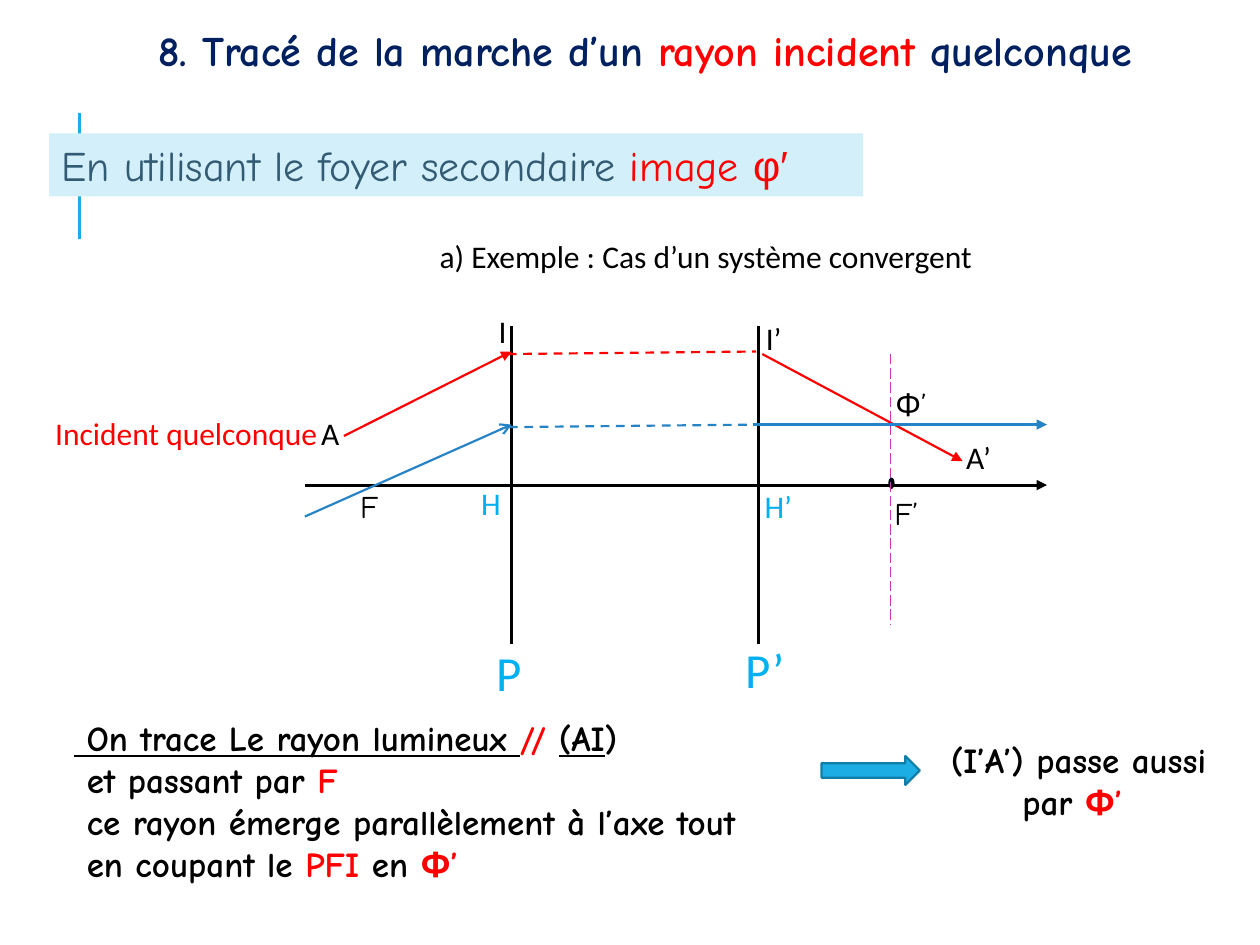
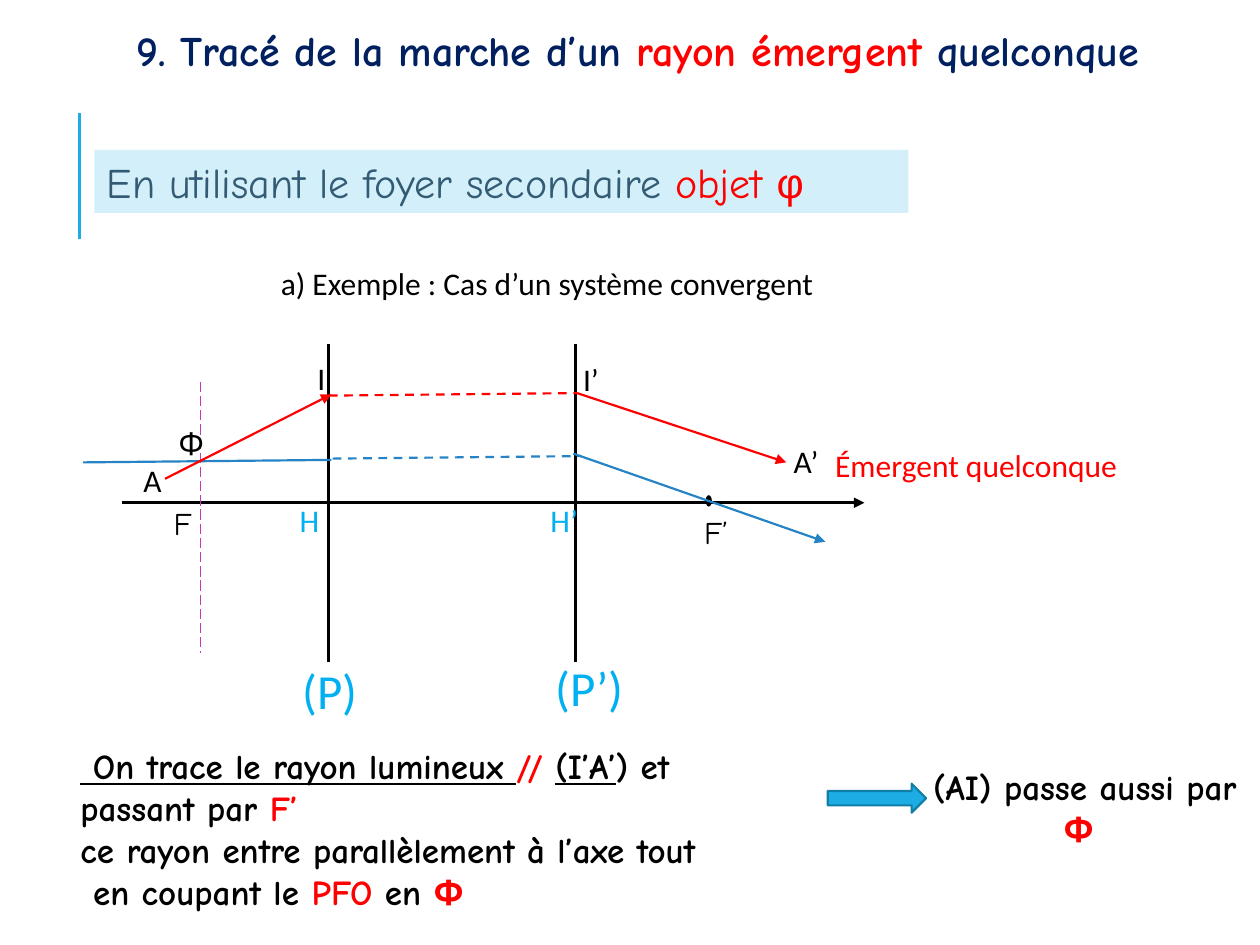
from dataclasses import dataclass
from typing import NamedTuple, Optional

from lxml.etree import SubElement
from pptx import Presentation
from pptx.dml.color import RGBColor
from pptx.enum.dml import MSO_LINE
from pptx.enum.shapes import MSO_CONNECTOR, MSO_SHAPE
from pptx.enum.text import MSO_ANCHOR, MSO_AUTO_SIZE, PP_ALIGN
from pptx.oxml.ns import qn
from pptx.util import Inches, Pt


@dataclass(frozen=True)
class Theme:
    black: str = "000000"
    red: str = "FF0000"
    navy: str = "002060"
    slate: str = "335B74"
    sky: str = "00B0F0"
    blue: str = "2683C6"
    pink: str = "C937B8"
    cyan: str = "1CADE4"
    edge: str = "117EA7"
    band: str = "D2EFFA"
    hand: str = "Comic Neue"
    plain: str = "Calibri"
    greek: str = "Arial"
    head: int = 24
    plane: int = 28
    note: int = 20
    label: int = 18


T = Theme()


class Run(NamedTuple):
    text: str
    color: Optional[str] = None
    under: bool = False
    font: Optional[str] = None


class Line(NamedTuple):
    runs: list
    indent: float = 0


class Label(NamedTuple):
    text: str
    left: float
    top: float
    width: float = 1.34
    font: str = T.plain
    color: str = T.black
    size: int = T.label


class Ray(NamedTuple):
    start: tuple
    end: tuple
    color: str
    width: float = 1.25
    dash: Optional[MSO_LINE] = None
    tip: Optional[str] = None


class Page(NamedTuple):
    title: list
    title_left: float
    band: list
    band_at: tuple
    lens: tuple  # x of plane P, y of the axis
    rays: list
    labels: list
    steps: list
    steps_at: tuple
    result: list
    arrow_at: tuple


def red(text: str, font: Optional[str] = None) -> Run:
    return Run(text, T.red, font=font)


def write(shape, lines: list, *, size: int, font: str = T.plain,
          color: str = T.black, bold: bool = False, align=PP_ALIGN.LEFT,
          wrap: bool = True, grow: bool = True, inset: float = 0.1,
          space: Optional[float] = None) -> None:
    frame = shape.text_frame
    frame.word_wrap = wrap
    frame.auto_size = MSO_AUTO_SIZE.SHAPE_TO_FIT_TEXT if grow else MSO_AUTO_SIZE.NONE
    frame.vertical_anchor = MSO_ANCHOR.TOP
    frame.margin_left = frame.margin_right = Inches(inset)
    frame.margin_top = frame.margin_bottom = Inches(0.05)
    for i, line in enumerate(lines):
        para = frame.add_paragraph() if i else frame.paragraphs[0]
        para.alignment = align
        if space:
            para.line_spacing = space
        if line.indent:
            para._p.get_or_add_pPr().set("marL", str(Inches(line.indent)))
        for item in line.runs:
            part = item if isinstance(item, Run) else Run(item)
            run = para.add_run()
            run.text = part.text
            run.font.name = part.font or font
            run.font.size = Pt(size)
            run.font.bold = bold
            run.font.underline = part.under
            run.font.color.rgb = RGBColor.from_string(part.color or color)


def add_box(slide, left: float, top: float, width: float, height: float):
    return slide.shapes.add_textbox(*map(Inches, (left, top, width, height)))


def add_form(slide, kind, at: tuple, fill: str, edge: Optional[str] = None):
    """Add a flat preset shape, outlined only if an edge colour is given."""
    form = slide.shapes.add_shape(kind, *map(Inches, at))
    form.shadow.inherit = False
    form.fill.solid()
    form.fill.fore_color.rgb = RGBColor.from_string(fill)
    if edge:
        form.line.color.rgb = RGBColor.from_string(edge)
        form.line.width = Pt(1.25)
    else:
        form.line.fill.background()
    return form


def draw_ray(slide, ray: Ray) -> None:
    wire = slide.shapes.add_connector(
        MSO_CONNECTOR.STRAIGHT, *map(Inches, ray.start + ray.end))
    wire.line.color.rgb = RGBColor.from_string(ray.color)
    wire.line.width = Pt(ray.width)
    if ray.dash:
        wire.line.dash_style = ray.dash
    props = wire._element.spPr
    if ray.tip:
        SubElement(props.find(qn("a:ln")), qn("a:tailEnd"), type=ray.tip)
    SubElement(props, qn("a:effectLst"))


def draw_label(slide, label: Label) -> None:
    height = 0.57 if label.size == T.plane else 0.4
    write(add_box(slide, label.left, label.top, label.width, height),
          [Line([label.text])], size=label.size, font=label.font, color=label.color)


def draw_lens(slide, x: float, y: float) -> None:
    """Draw both main planes, the axis and the image focus."""
    for plane in (x, x + 1.96):
        draw_ray(slide, Ray((plane, y - 1.26), (plane, y + 1.26), T.black, 1.75))
    draw_ray(slide, Ray((x - 1.64, y), (x + 4.25, y), T.black, 1.75, tip="triangle"))
    add_form(slide, MSO_SHAPE.OVAL, (x + 2.99, y - 0.06, 0.05, 0.09), T.black)


def build_page(deck, page: Page) -> None:
    slide = deck.slides.add_slide(deck.slide_layouts[5])
    draw_ray(slide, Ray((0.63, 1.9), (0.63, 0.9), T.cyan, 1.5))
    title = slide.shapes.title
    title.left, title.top, title.width, title.height = map(
        Inches, (page.title_left, 0.19, 9.64, 0.88))
    write(title, [Line(page.title)], size=T.head, font=T.hand, color=T.navy,
          bold=True, align=PP_ALIGN.CENTER, grow=False, inset=0.05, space=0.9)
    band = add_form(slide, MSO_SHAPE.RECTANGLE, page.band_at + (6.46, 0.5), T.band)
    write(band, [Line(page.band)], size=T.head, font=T.hand, color=T.slate)

    draw_lens(slide, *page.lens)
    for ray in page.rays:
        draw_ray(slide, ray)
    for label in page.labels:
        draw_label(slide, label)

    write(add_box(slide, *page.steps_at, 1.44), page.steps, size=T.note,
          font=T.hand, bold=True, wrap=False)
    left, top = page.arrow_at
    add_form(slide, MSO_SHAPE.RIGHT_ARROW, (left, top, 0.78, 0.23), T.cyan, T.edge)
    write(add_box(slide, left + 0.68, top - 0.19, 2.72, 0.77), [Line(page.result)],
          size=T.note, font=T.hand, bold=True, align=PP_ALIGN.CENTER)


def name_point(text: str, left: float, top: float) -> Label:
    return Label(text, left, top, 1.02, color=T.sky)


def name_plane(text: str, left: float, top: float) -> Label:
    return Label(text, left, top, 1.02, color=T.sky, size=T.plane)


def name_focus(text: str, left: float, top: float) -> Label:
    return Label(text, left, top, 1.49, T.hand)


CASE = "a) Exemple : Cas d’un système convergent"
MARCH = "Tracé de la marche d’un "
FOCUS = "En utilisant le foyer secondaire "

PAGES = [
    Page(
        title=["8. " + MARCH, red("rayon incident "), "quelconque"],
        title_left=0.3,
        band=[FOCUS, red("image "), red("φ′", T.greek)],
        band_at=(0.39, 1.06),
        lens=(4.06, 3.85),
        rays=[
            Ray((6.05, 2.81), (7.64, 3.66), T.red, tip="triangle"),
            Ray((7.07, 2.81), (7.07, 4.95), T.pink, 0.75, MSO_LINE.LONG_DASH),
            Ray((5.98, 3.37), (8.31, 3.37), T.blue, tip="triangle"),
            Ray((4.04, 3.39), (6.01, 3.37), T.blue, dash=MSO_LINE.DASH),
            Ray((2.42, 4.1), (4.06, 3.37), T.blue, tip="arrow"),
            Ray((4.03, 2.81), (6, 2.79), T.red, dash=MSO_LINE.DASH),
            Ray((2.73, 3.46), (4.06, 2.79), T.red, tip="triangle"),
        ],
        labels=[
            name_focus("F’", 7, 3.87),
            name_focus("F", 2.76, 3.82),
            name_focus("Φ’", 7.01, 3.01),
            name_point("H", 3.72, 3.79),
            name_point("H’", 5.97, 3.82),
            name_plane("P", 3.84, 5.05),
            name_plane("P’", 5.82, 5.03),
            Label("I", 3.86, 2.43),
            Label("I’", 5.98, 2.48),
            Label("A", 2.45, 3.24),
            Label("A’", 7.57, 3.43),
            Label("Incident quelconque", 0.34, 3.24, 3.07, color=T.red),
            Label(CASE, 3.39, 1.83, 5.31),
        ],
        steps=[
            Line([Run(" On trace Le rayon lumineux ", under=True), red("// "),
                  Run("(AI", under=True), ")"]),
            Line(["et passant par ", red("F")], 0.1),
            Line(["ce rayon émerge parallèlement à l’axe tout"], 0.1),
            Line(["en coupant le ", red("PFI"), " en ", red("Φ’")], 0.1),
        ],
        steps_at=(0.49, 5.64, 5.49),
        result=["(I’A’) passe aussi par ", red("Φ’ ")],
        arrow_at=(6.52, 6),
    ),
    Page(
        title=["9. " + MARCH, red("rayon émergent "), "quelconque"],
        title_left=0.24,
        band=[FOCUS, red("objet "), red("φ", T.greek)],
        band_at=(0.75, 1.19),
        lens=(2.61, 3.99),
        rays=[
            Ray((4.58, 3.12), (6.24, 3.67), T.red, tip="triangle"),
            Ray((1.59, 3.03), (1.59, 5.18), T.pink, 0.75, MSO_LINE.LONG_DASH),
            Ray((4.55, 3.6), (6.55, 4.3), T.blue, tip="triangle"),
            Ray((2.64, 3.64), (4.61, 3.62), T.blue, dash=MSO_LINE.DASH),
            Ray((0.66, 3.67), (2.63, 3.65), T.blue),
            Ray((2.61, 3.14), (4.58, 3.12), T.red, dash=MSO_LINE.DASH),
            Ray((1.31, 3.8), (2.63, 3.13), T.red, tip="triangle"),
        ],
        labels=[
            name_focus("F’", 5.49, 4.02),
            name_focus("F", 1.28, 3.95),
            name_focus("Φ", 1.32, 3.32),
            name_point("H", 2.28, 3.93),
            name_point("H’", 4.27, 3.93),
            name_plane("(P)", 2.3, 5.19),
            name_plane("(P’)", 4.31, 5.17),
            Label("I", 2.42, 2.8),
            Label("I’", 4.53, 2.81),
            Label("A", 1.04, 3.61),
            Label("A’", 6.2, 3.46),
            Label("Émergent quelconque", 6.53, 3.49, 3.07, color=T.red),
            Label(CASE, 2.13, 2.05, 5.31),
        ],
        steps=[
            Line([Run(" On trace le rayon lumineux ", under=True), red("// "),
                  Run("(I’A’", under=True), ") et"]),
            Line(["passant par ", red("F’")]),
            Line(["ce rayon entre parallèlement à l’axe tout"]),
            Line(["en coupant le ", red("PFO"), " en ", red("Φ")], 0.1),
        ],
        steps_at=(0.54, 5.86, 5.12),
        result=["(AI) passe aussi par ", red("Φ ")],
        arrow_at=(6.57, 6.22),
    ),
]


def main() -> None:
    deck = Presentation()
    deck.slide_width, deck.slide_height = Inches(10), Inches(7.5)
    for page in PAGES:
        build_page(deck, page)
    deck.save("out.pptx")


if __name__ == "__main__":
    main()
